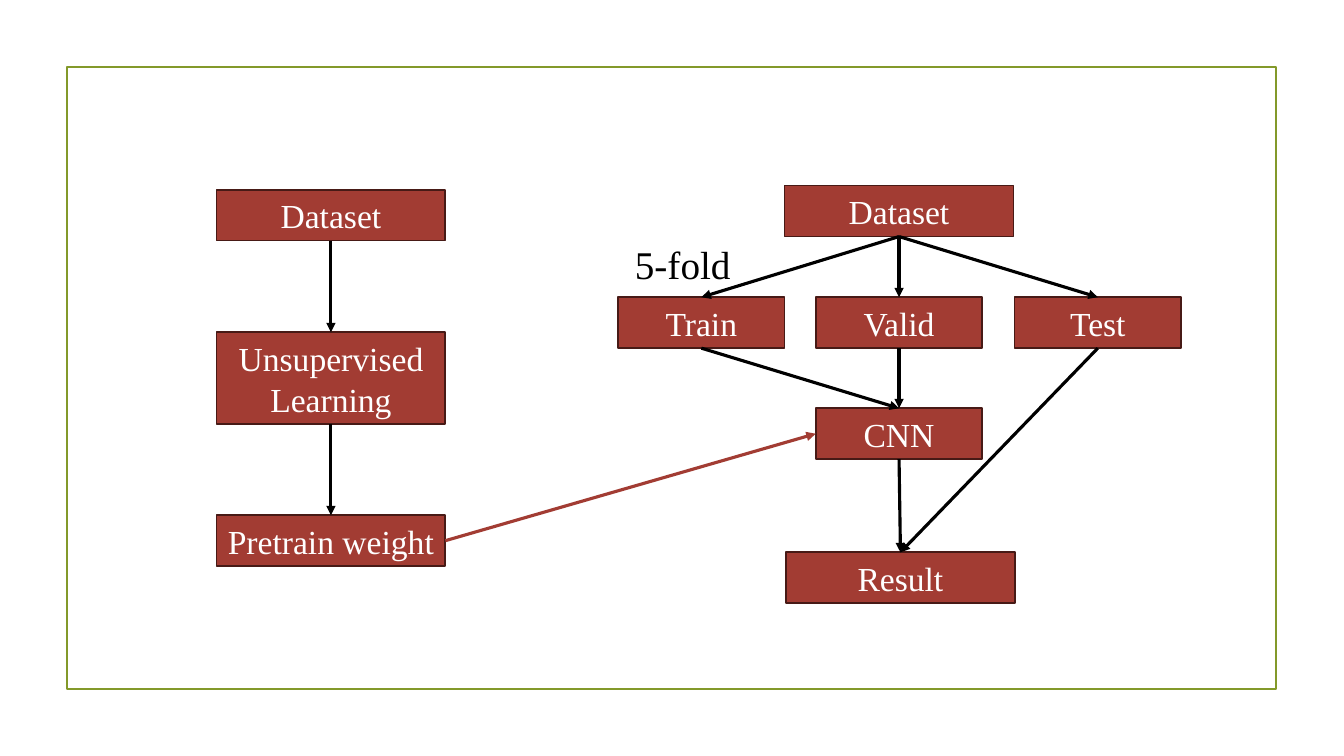
from dataclasses import dataclass

from pptx import Presentation
from pptx.dml.color import RGBColor
from pptx.enum.shapes import MSO_CONNECTOR as Connector, MSO_SHAPE as Preset
from pptx.enum.text import MSO_ANCHOR as Anchor, PP_ALIGN as Align
from pptx.oxml.ns import qn
from pptx.shapes.autoshape import Shape
from pptx.slide import Slide
from pptx.text.text import _Paragraph as Paragraph
from pptx.util import Pt
from lxml.etree import SubElement

BRICK = RGBColor(0xA2, 0x3C, 0x33)
DARK_BRICK = RGBColor(0x47, 0x1A, 0x16)
OLIVE = RGBColor(0x83, 0x99, 0x2A)
BLACK = RGBColor(0, 0, 0)
WHITE = RGBColor(0xFF, 0xFF, 0xFF)

FONT = "Times New Roman"
WIDE, NARROW = 163.5, 119
ONE_LINE, TWO_LINES = 36.4, 65.4
TOP, LEFT, BOTTOM, RIGHT = range(4)  # connection sites of a rectangle


@dataclass(frozen=True)
class Step:
    key: str
    text: str
    center: float
    top: float
    width: float = WIDE
    height: float = ONE_LINE


@dataclass(frozen=True)
class Arrow:
    start: str
    end: str
    start_site: int = BOTTOM
    end_site: int = TOP
    color: RGBColor = BLACK


STEPS = [
    # Pretraining branch
    Step("pretrain data", "Dataset", 236.4, 135.5),
    Step("unsupervised", "Unsupervised Learning", 236.4, 237.4, height=TWO_LINES),
    Step("weight", "Pretrain weight", 236.4, 368),
    # Cross-validation branch
    Step("data", "Dataset", 642.2, 132.6),
    Step("train", "Train", 501, 212.3, NARROW),
    Step("valid", "Valid", 642.2, 212.3, NARROW),
    Step("test", "Test", 784.2, 212.3, NARROW),
    Step("cnn", "CNN", 642.2, 291.6, NARROW),
    Step("result", "Result", 643.2, 394.5),
]

ARROWS = [
    Arrow("weight", "cnn", RIGHT, LEFT, BRICK),
    Arrow("pretrain data", "unsupervised"),
    Arrow("unsupervised", "weight"),
    Arrow("data", "valid"),
    Arrow("data", "train"),
    Arrow("data", "test"),
    Arrow("train", "cnn"),
    Arrow("valid", "cnn"),
    Arrow("cnn", "result"),
    Arrow("test", "result"),
]


def style_text(paragraph: Paragraph, size: float, spacing: float, color: RGBColor) -> None:
    paragraph.font.name = FONT
    paragraph.font.size = Pt(size)
    paragraph.font.color.rgb = color
    paragraph.line_spacing = Pt(spacing)


def add_frame(slide: Slide) -> None:
    frame = slide.shapes.add_shape(Preset.RECTANGLE, Pt(47.7), Pt(48), Pt(864), Pt(444))
    frame.shadow.inherit = False
    frame.fill.background()
    frame.line.color.rgb = OLIVE
    frame.line.width = Pt(1.25)


def add_step(slide: Slide, step: Step) -> Shape:
    shape = slide.shapes.add_shape(
        Preset.RECTANGLE, Pt(step.center - step.width / 2), Pt(step.top),
        Pt(step.width), Pt(step.height))
    shape.shadow.inherit = False
    shape.fill.solid()
    shape.fill.fore_color.rgb = BRICK
    shape.line.color.rgb = DARK_BRICK
    shape.line.width = Pt(1.25)
    frame = shape.text_frame
    frame.word_wrap = True
    frame.vertical_anchor = Anchor.MIDDLE
    paragraph = frame.paragraphs[0]
    paragraph.text = step.text
    paragraph.alignment = Align.CENTER
    style_text(paragraph, 24, 29, WHITE)
    return shape


def add_arrow(slide: Slide, arrow: Arrow, shapes: dict[str, Shape]) -> None:
    connector = slide.shapes.add_connector(Connector.STRAIGHT, 0, 0, 0, 0)
    connector.begin_connect(shapes[arrow.start], arrow.start_site)
    connector.end_connect(shapes[arrow.end], arrow.end_site)
    connector.line.color.rgb = arrow.color
    connector.line.width = Pt(2.25)
    properties = connector._element.spPr
    SubElement(properties.find(qn("a:ln")), qn("a:tailEnd"), type="triangle")
    SubElement(properties, qn("a:effectLst"))


def add_fold_label(slide: Slide) -> None:
    label = slide.shapes.add_textbox(Pt(446.4), Pt(167.8), Pt(107.3), Pt(41))
    label.text_frame.word_wrap = True
    paragraph = label.text_frame.paragraphs[0]
    paragraph.text = "5-fold"
    style_text(paragraph, 28, 34, BLACK)


def main() -> None:
    presentation = Presentation()
    presentation.slide_width = Pt(960)
    presentation.slide_height = Pt(540)
    slide = presentation.slides.add_slide(presentation.slide_layouts[6])

    add_frame(slide)
    shapes = {step.key: add_step(slide, step) for step in STEPS}
    for arrow in ARROWS:
        add_arrow(slide, arrow, shapes)
    add_fold_label(slide)

    presentation.save("out.pptx")


if __name__ == "__main__":
    main()
